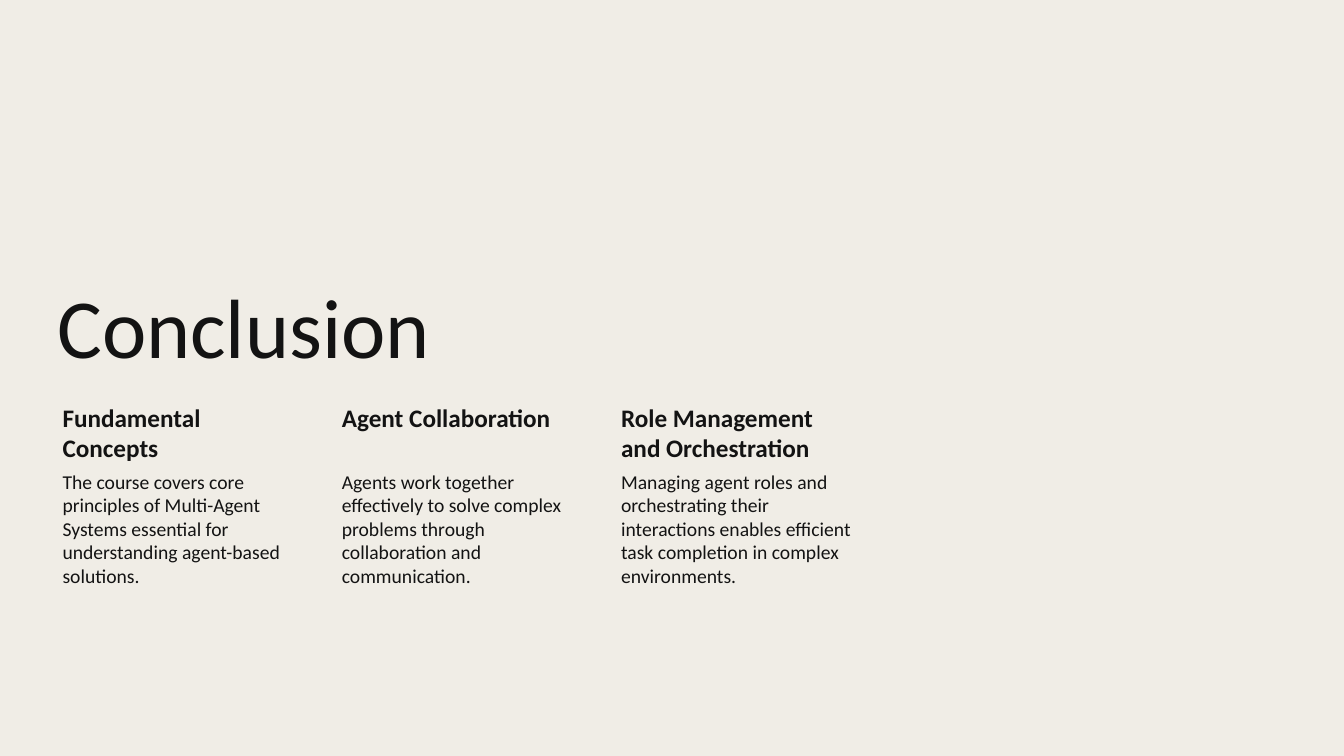
from dataclasses import dataclass

from pptx import Presentation
from pptx.dml.color import RGBColor
from pptx.enum.text import MSO_ANCHOR
from pptx.slide import Slide
from pptx.util import Inches, Pt


@dataclass(frozen=True)
class Theme:
    background: RGBColor = RGBColor(0xF0, 0xED, 0xE6)
    ink: RGBColor = RGBColor(0x13, 0x13, 0x13)
    font: str = "Calibri"
    title_size: float = 60
    heading_size: float = 18
    body_size: float = 14


@dataclass(frozen=True)
class Grid:
    left: float = 0.47
    column_width: float = 2.52
    gap: float = 0.25

    def column_left(self, column: int) -> float:
        return self.left + column * (self.column_width + self.gap)

    def span(self, columns: int) -> float:
        return columns * self.column_width + (columns - 1) * self.gap


@dataclass(frozen=True)
class Row:
    top: float
    height: float


@dataclass(frozen=True)
class TextStyle:
    size: float
    bold: bool = False
    insets: tuple[float, float, float, float] = (0.1, 0.05, 0.1, 0.05)
    anchor: MSO_ANCHOR = MSO_ANCHOR.TOP
    line_spacing: float = 1.0


@dataclass(frozen=True)
class Takeaway:
    heading: str
    body: str


THEME = Theme()
GRID = Grid()
TITLE_ROW = Row(1.78, 2.01)
HEADING_ROW = Row(3.96, 0.68)
BODY_ROW = Row(4.64, 1.76)

TITLE_STYLE = TextStyle(THEME.title_size, anchor=MSO_ANCHOR.BOTTOM, line_spacing=0.9)
HEADING_STYLE = TextStyle(THEME.heading_size, bold=True, insets=(0.15, 0.03, 0.03, 0.03))
BODY_STYLE = TextStyle(THEME.body_size, insets=(0.15, 0.02, 0.02, 0.02))

TAKEAWAYS = (
    Takeaway(
        "Fundamental Concepts",
        "The course covers core principles of Multi-Agent Systems essential "
        "for understanding agent-based solutions.",
    ),
    Takeaway(
        "Agent Collaboration",
        "Agents work together effectively to solve complex problems through "
        "collaboration and communication.",
    ),
    Takeaway(
        "Role Management and Orchestration",
        "Managing agent roles and orchestrating their interactions enables "
        "efficient task completion in complex environments.",
    ),
)


def set_attributes(target: object, values: dict[str, object]) -> None:
    for name, value in values.items():
        setattr(target, name, value)


def add_text(slide: Slide, text: str, style: TextStyle, row: Row,
             column: int = 0, columns: int = 1) -> None:
    """Place text in a grid row, starting at a column and spanning columns."""
    shape = slide.shapes.add_textbox(
        Inches(GRID.column_left(column)), Inches(row.top),
        Inches(GRID.span(columns)), Inches(row.height),
    )
    left, top, right, bottom = map(Inches, style.insets)
    set_attributes(shape.text_frame, {
        "word_wrap": True,
        "vertical_anchor": style.anchor,
        "margin_left": left,
        "margin_top": top,
        "margin_right": right,
        "margin_bottom": bottom,
    })
    paragraph = shape.text_frame.paragraphs[0]
    paragraph.line_spacing = style.line_spacing
    run = paragraph.add_run()
    run.text = text
    set_attributes(run.font, {"name": THEME.font, "size": Pt(style.size), "bold": style.bold})
    run.font.color.rgb = THEME.ink


def main() -> None:
    presentation = Presentation()
    set_attributes(presentation, {"slide_width": Inches(13.33), "slide_height": Inches(7.5)})
    slide = presentation.slides.add_slide(presentation.slide_layouts[6])
    slide.background.fill.solid()
    slide.background.fill.fore_color.rgb = THEME.background

    add_text(slide, "Conclusion", TITLE_STYLE, TITLE_ROW, columns=len(TAKEAWAYS))
    for column, takeaway in enumerate(TAKEAWAYS):
        add_text(slide, takeaway.heading, HEADING_STYLE, HEADING_ROW, column)
        add_text(slide, takeaway.body, BODY_STYLE, BODY_ROW, column)

    presentation.save("out.pptx")


if __name__ == "__main__":
    main()
